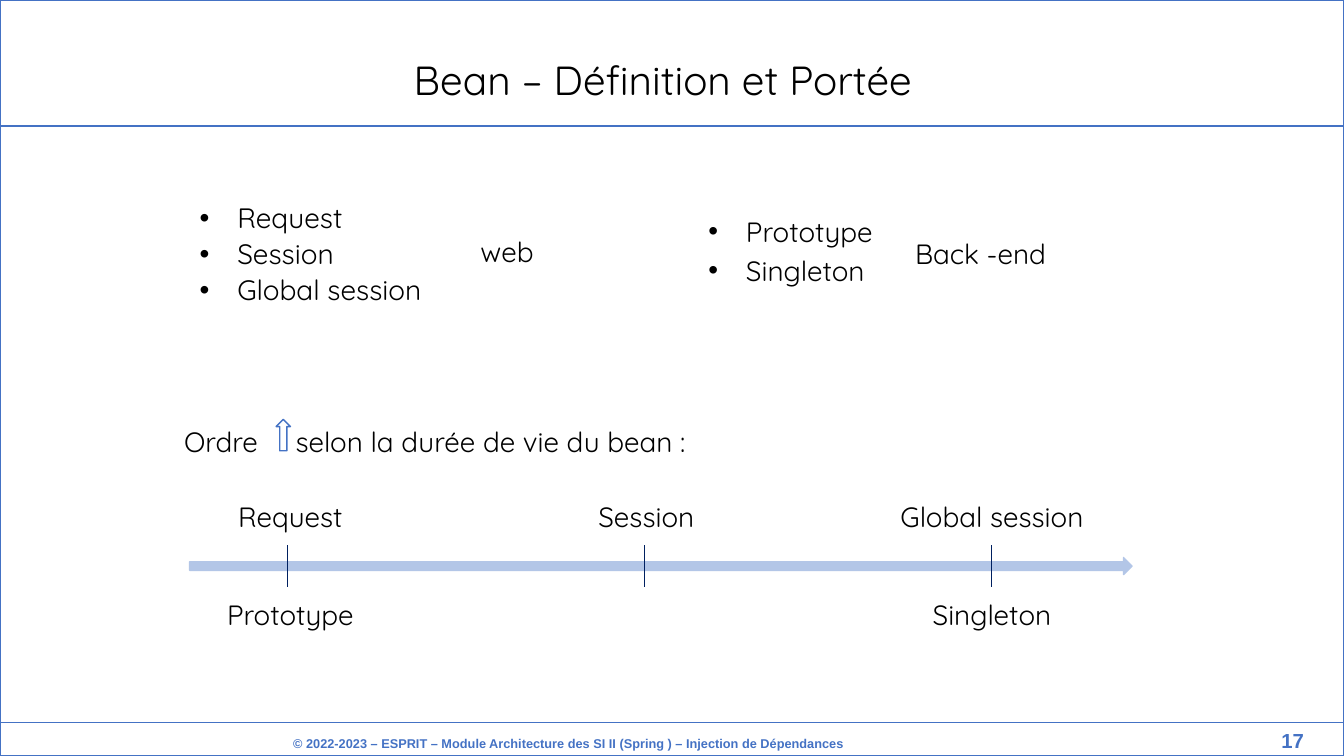
from lxml.etree import SubElement
from pptx import Presentation
from pptx.dml.color import RGBColor
from pptx.enum.shapes import MSO_CONNECTOR, MSO_SHAPE
from pptx.enum.text import MSO_ANCHOR, PP_ALIGN
from pptx.oxml.ns import qn
from pptx.util import Cm, Pt

COLORS = {
    "white": "FFFFFF",
    "black": "000000",
    "blue": "4472C4",
    "pale": "B3C6E7",
    "navy": "002060",
}
WIDTH, HEIGHT = 33.87, 19.05
HEADER_BOTTOM, FOOTER_TOP = 3.18, 18.21
INSETS = (0.25, 0.13, 0.25, 0.13)
NO_INSETS = (0, 0, 0, 0)


class Deck:
    def __init__(self, font="Quicksand", size=19.9):
        self.font, self.size = font, size
        self.prs = Presentation()
        self.prs.slide_width, self.prs.slide_height = Cm(WIDTH), Cm(HEIGHT)
        self.slide = self.prs.slides.add_slide(self.prs.slide_layouts[6])

    def color(self, name):
        return RGBColor.from_string(COLORS[name])

    def shape(self, kind, x, y, w, h, fill="white", line="blue"):
        sp = self.slide.shapes.add_shape(kind, Cm(x), Cm(y), Cm(w), Cm(h))
        sp.shadow.inherit = False
        sp.fill.solid()
        sp.fill.fore_color.rgb = self.color(fill)
        sp.line.color.rgb = self.color(line)
        sp.line.width = Pt(1)
        return sp

    def line(self, x1, y1, x2, y2, color="navy", width=0.75):
        cxn = self.slide.shapes.add_connector(
            MSO_CONNECTOR.STRAIGHT, Cm(x1), Cm(y1), Cm(x2), Cm(y2))
        cxn.line.color.rgb = self.color(color)
        cxn.line.width = Pt(width)
        SubElement(cxn._element.spPr, qn("a:effectLst"))
        return cxn

    def text(self, text, x, y, w, h, size=None, font=None, color="black", bold=False,
             align=PP_ALIGN.LEFT, anchor=MSO_ANCHOR.TOP, insets=INSETS,
             spacing=1.0, before=0, bullet=False, tab=None):
        tb = self.slide.shapes.add_textbox(Cm(x), Cm(y), Cm(w), Cm(h))
        tf = tb.text_frame
        tf.word_wrap = True
        tf.vertical_anchor = anchor
        tf.margin_left, tf.margin_top, tf.margin_right, tf.margin_bottom = map(Cm, insets)
        for i, content in enumerate(text.split("\n")):
            p = tf.paragraphs[0] if i == 0 else tf.add_paragraph()
            p.alignment = align
            p.line_spacing = spacing
            if i:
                p.space_before = Pt(before)
            pPr = p._p.get_or_add_pPr()
            if bullet:
                pPr.set("marL", str(Cm(0.95)))
                pPr.set("indent", str(-Cm(0.95)))
                clr = SubElement(pPr, qn("a:buClr"))
                SubElement(clr, qn("a:srgbClr"), val=COLORS[color])
                SubElement(pPr, qn("a:buFont"), typeface="Arial")
                SubElement(pPr, qn("a:buChar"), char="•")
            if tab:
                tabs = SubElement(pPr, qn("a:tabLst"))
                SubElement(tabs, qn("a:tab"), pos=str(Cm(tab)), algn="l")
            r = p.add_run()
            r.text = content
            r.font.name = font or self.font
            r.font.size = Pt(size or self.size)
            r.font.bold = bold
            r.font.color.rgb = self.color(color)
        return tb


def main():
    deck = Deck()

    edges = (0, HEADER_BOTTOM, FOOTER_TOP, HEIGHT)
    for top, bottom in zip(edges, edges[1:]):
        deck.shape(MSO_SHAPE.RECTANGLE, 0, top, WIDTH, bottom - top)

    deck.text("Bean – Définition et Portée", 3.25, 0.1, 26.92, 2.57, size=29,
              align=PP_ALIGN.CENTER, insets=(0, 1.32, 0, 0))
    footer = dict(font="Arial", color="blue", bold=True, insets=NO_INSETS)
    deck.text("© 2022-2023 – ESPRIT – Module Architecture des SI II (Spring ) – "
              "Injection de Dépendances",
              7.39, 18.42, 19.15, 0.43, size=9.1, spacing=1.32, **footer)
    deck.text("17", 29.08, 18.49, 3.78, 0.43, size=14.5, spacing=0.86,
              align=PP_ALIGN.RIGHT, anchor=MSO_ANCHOR.MIDDLE, **footer)

    deck.text("Request\nSession\nGlobal session", 4.78, 5.02, 7.87, 3.1, size=20,
              spacing=0.9, before=4, bullet=True)
    deck.text("web", 11.86, 5.89, 2.11, 1.09, spacing=0.9)
    deck.text("Prototype\nSingleton", 17.6, 5.28, 7.87, 2.3, before=4, bullet=True)
    deck.text("Back -end", 22.81, 5.84, 4.39, 1.1)

    deck.text("Ordre\tselon la durée de vie du bean :", 4.39, 10.57, 23.62, 1.7, tab=2.81)
    deck.shape(MSO_SHAPE.UP_ARROW, 6.96, 10.57, 0.36, 0.79)

    deck.shape(MSO_SHAPE.RIGHT_ARROW, 4.78, 14.05, 23.75, 0.43, fill="pale", line="pale")
    label_w, label_h = 5.8, 1.2
    stages = [
        (7.24, 7.32, "Request", "Prototype"),
        (16.23, 16.29, "Session", None),
        (24.99, 25, "Global session", "Singleton"),
    ]
    for tick, center, web, backend in stages:
        deck.line(tick, 13.74, tick, 14.78)
        for label, top in ((web, 12.45), (backend, 14.94)):
            if label:
                deck.text(label, center - label_w / 2, top, label_w, label_h,
                          align=PP_ALIGN.CENTER)

    deck.prs.save("out.pptx")


if __name__ == "__main__":
    main()
